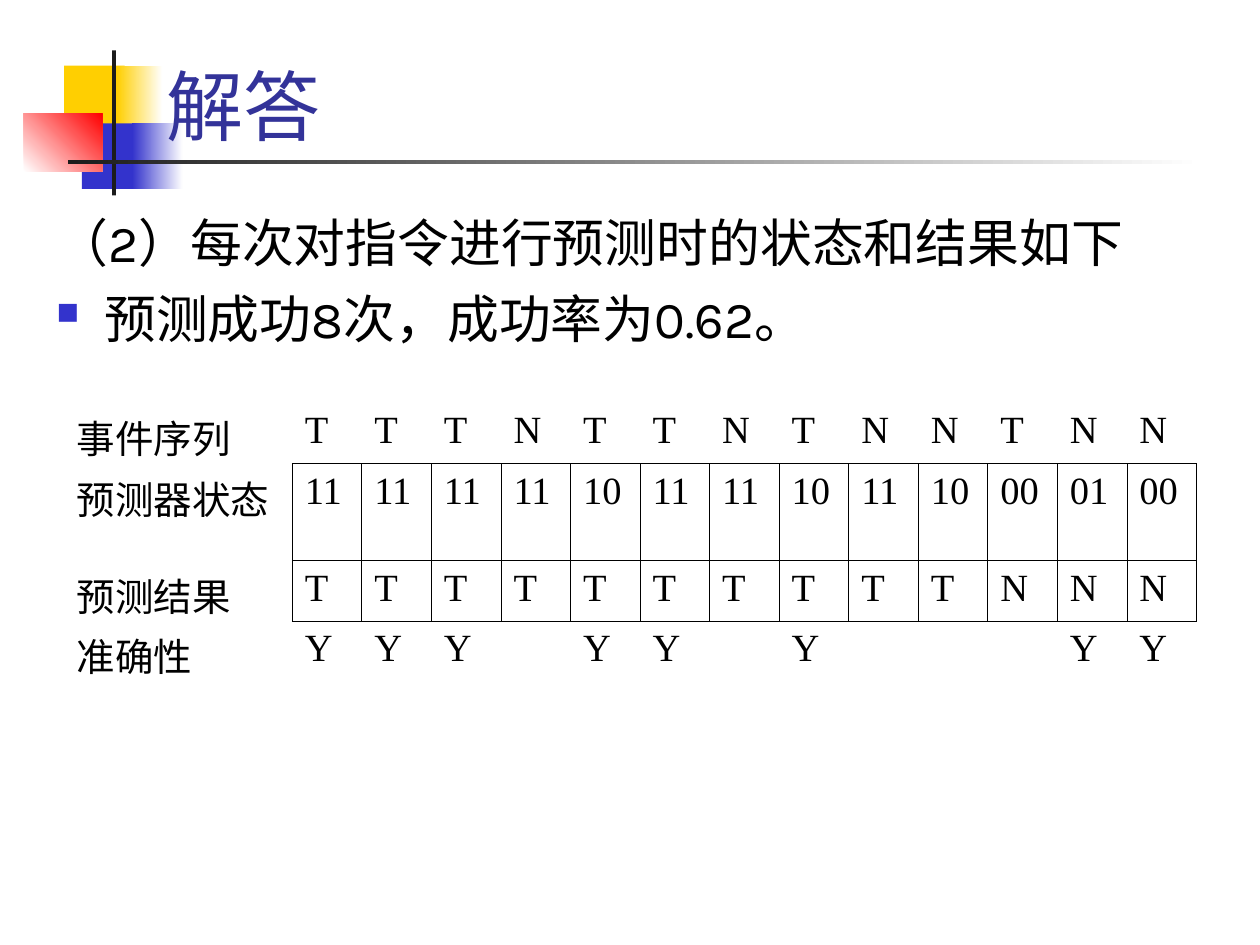
import pptx
import pptx.dml.color
import pptx.enum.shapes
import pptx.enum.text
import pptx.util
from pptx.oxml.ns import qn
import lxml.etree

deck = pptx.Presentation()
deck.slide_width = pptx.util.Inches(10)
deck.slide_height = pptx.util.Inches(7.5)
column = deck.slide_width / 100
row = deck.slide_height / 75
page = deck.slides.add_slide(deck.slide_layouts[6])


def color(value):
    return pptx.dml.color.RGBColor.from_string(value)


def place(left, top, width, height):
    return [round(n) for n in (left * column, top * row, width * column, height * row)]


ornaments = [
    (5.1, 5.2, 4.8, 5.2, ["FFCF01"], 0),
    (9.3, 5.2, 3.6, 5.2, ["FFCF01", "FFFFFF"], 0),
    (6.5, 9.8, 4.6, 5.2, ["3333CC"], 0),
    (10.5, 9.8, 4, 5.2, ["3333CC", "FFFFFF"], 0),
    (1.9, 9, 6.2, 4.6, ["FFFFFF", "FF0000"], 45),
    (8.9, 4, 0.3, 11.5, ["1C1C1C"], 0),
    (5.4, 12.7, 90, 0.3, ["1C1C1C", "FFFFFF"], 0),
]
for left, top, width, height, colors, angle in ornaments:
    block = page.shapes.add_shape(
        pptx.enum.shapes.MSO_SHAPE.RECTANGLE, *place(left, top, width, height))
    block.shadow.inherit = False
    block.line.fill.background()
    if len(colors) == 1:
        block.fill.solid()
        block.fill.fore_color.rgb = color(colors[0])
    else:
        block.fill.gradient()
        block.fill.gradient_angle = angle
        for stop, value in zip(block.fill.gradient_stops, colors):
            stop.color.rgb = color(value)

texts = [
    (12.2, 0, 85.2, 12.5, "解答", 44, "333399", "BOTTOM"),
    (3.5, 16.2, 93.7, 16,
     "（2）每次对指令进行预测时的状态和结果如下\n预测成功8次，成功率为0.62。", 29.6, "000000", "TOP"),
]
for left, top, width, height, words, size, ink, anchor in texts:
    box = page.shapes.add_textbox(*place(left, top, width, height))
    box.text_frame.word_wrap = True
    box.text_frame.vertical_anchor = pptx.enum.text.MSO_ANCHOR[anchor]
    box.text_frame.text = words
    for para in box.text_frame.paragraphs:
        para.font.size = pptx.util.Pt(size)
        for span in para.runs:
            span.font.size = pptx.util.Pt(size)
            span.font.name = "Karla"
            span.font.color.rgb = color(ink)

for para in box.text_frame.paragraphs:
    para.space_before = pptx.util.Pt(8)
    indent = round(3.8 * column)
    para._p.get_or_add_pPr().set("marL", str(indent))
    para._p.get_or_add_pPr().set("indent", str(-indent))
properties = para._p.get_or_add_pPr()
bullet_color = lxml.etree.Element(qn("a:buClr"))
lxml.etree.SubElement(bullet_color, qn("a:srgbClr"), val="3333CC")
bullet_size = lxml.etree.Element(qn("a:buSzPct"), val="60000")
bullet = lxml.etree.Element(qn("a:buChar"), char="■")
spacing = properties.find(qn("a:spcBef"))
for part in (bullet, bullet_size, bullet_color):
    spacing.addnext(part)

records = [
    ["事件序列", *"TTTNTTNTNNTNN"],
    ["预测器状态", *"11 11 11 11 10 11 11 10 11 10 00 01 00".split()],
    ["预测结果", *"TTTTTTTTTTNNN"],
    ["准确性", *"YYY", "", *"YY", "", "Y", "", "", "", *"YY"],
]
frame = page.shapes.add_table(4, 14, *place(5.1, 32, 89.8, 27.6))
table = frame.table
table.first_row = False
table.horz_banding = False
for index, line in enumerate(table.columns):
    line.width = round((5.52 if index else 18.1) * column)
for line, height in zip(table.rows, [4.8, 7.7, 4.8, 10.3]):
    line.height = round(height * row)

for r, record in enumerate(records):
    for c, words in enumerate(record):
        cell = table.cell(r, c)
        cell.text = words
        para = cell.text_frame.paragraphs[0]
        para.font.size = pptx.util.Pt(22)
        for span in para.runs:
            span.font.size = pptx.util.Pt(22)
            span.font.name = "Times New Roman"
            span.font.color.rgb = color("000000")
        middle = r in (1, 2)
        borders = {"L": middle and c > 0, "R": middle, "T": c > 0 and r > 0, "B": c > 0 and r < 3}
        for side, shown in borders.items():
            edge = lxml.etree.SubElement(
                cell._tc.get_or_add_tcPr(), qn("a:ln" + side), w=str(pptx.util.Pt(0.45)))
            if shown:
                ink = lxml.etree.SubElement(edge, qn("a:solidFill"))
                lxml.etree.SubElement(ink, qn("a:srgbClr"), val="000000")
            else:
                lxml.etree.SubElement(edge, qn("a:noFill"))
        cell.fill.background()

deck.save("out.pptx")
